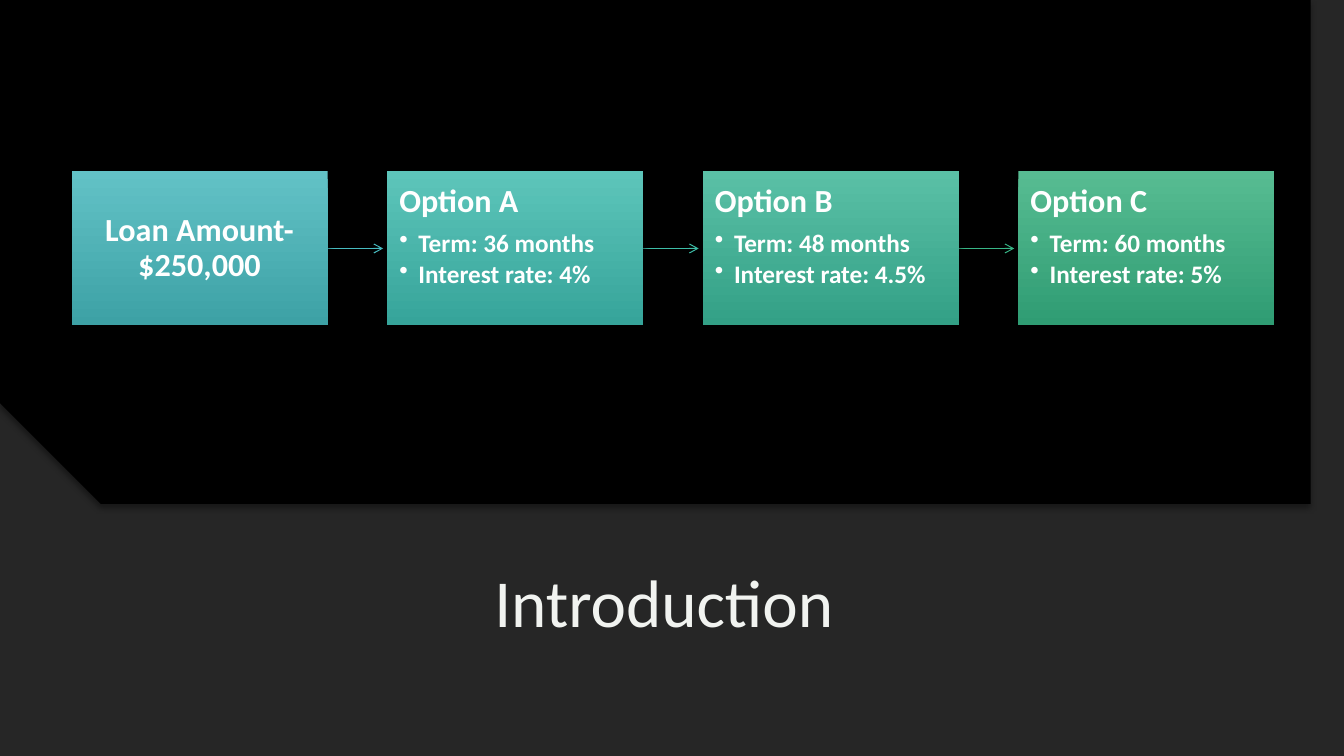
from lxml import etree
from pptx import Presentation
from pptx.dml.color import RGBColor
from pptx.enum.shapes import MSO_CONNECTOR, MSO_SHAPE
from pptx.enum.text import MSO_ANCHOR, PP_ALIGN
from pptx.oxml import parse_xml
from pptx.oxml.ns import nsdecls, qn
from pptx.util import Inches, Pt

COLORS = {
    "black": "000000",
    "panel": "262626",
    "title": "F1F3F0",
    "white": "FFFFFF",
}
FONT = "Calibri"
SLIDE_WIDTH, SLIDE_HEIGHT = 13.33, 7.5
CARD_LEFT, CARD_TOP, CARD_WIDTH, CARD_HEIGHT = 0.71, 1.7, 2.54, 1.53
CARD_PITCH = 3.13
ARROW_LENGTH = 0.55

CARDS = [
    (["Loan Amount- $250,000"], "62C2C6", "3DA1A5", "47BBC0"),
    (["Option A", "Term: 36 months", "Interest rate: 4%"], "5DC5BA", "36A49A", "3DBDA7"),
    (["Option B", "Term: 48 months", "Interest rate: 4.5%"], "5AC0A6", "33A086", "37B586"),
    (["Option C", "Term: 60 months", "Interest rate: 5%"], "57BC92", "2F9C73", None),
]


def shadow_effect(alpha, blur, distance, direction=90):
    return parse_xml(
        f'<a:effectLst {nsdecls("a")}><a:outerShdw blurRad="{Pt(blur)}" dist="{Pt(distance)}" '
        f'dir="{direction * 60000}" algn="ctr" rotWithShape="0"><a:srgbClr val="{COLORS["black"]}">'
        f'<a:alpha val="{alpha * 1000}"/></a:srgbClr></a:outerShdw></a:effectLst>'
    )


def format_run(run, size, color, bold=False):
    run.font.size = Pt(size)
    run.font.bold = bold
    run.font.color.rgb = RGBColor.from_string(color)
    run.font.name = FONT


presentation = Presentation()
presentation.slide_width = Inches(SLIDE_WIDTH)
presentation.slide_height = Inches(SLIDE_HEIGHT)
slide = presentation.slides.add_slide(presentation.slide_layouts[6])
slide.background.fill.solid()
slide.background.fill.fore_color.rgb = RGBColor.from_string(COLORS["black"])

panel = slide.shapes.add_shape(
    MSO_SHAPE.RECTANGLE, 0, 0, Inches(SLIDE_WIDTH), Inches(SLIDE_HEIGHT)
)
panel.shadow.inherit = False
panel.fill.solid()
panel.fill.fore_color.rgb = RGBColor.from_string(COLORS["panel"])
panel.line.fill.background()

title = slide.shapes.add_textbox(Inches(1), Inches(5.23), Inches(11.32), Inches(1.46))
title.text_frame.word_wrap = True
title.text_frame.vertical_anchor = MSO_ANCHOR.MIDDLE
title.text_frame.text = "Introduction "
paragraph = title.text_frame.paragraphs[0]
paragraph.alignment = PP_ALIGN.CENTER
title_run = paragraph.runs[0]
format_run(title_run, 48, COLORS["title"])
title_run.font._element.find(qn("a:latin")).addprevious(shadow_effect(60, 3, 2, 45))

curve_steps = 40
curve_points = [(0, 0), (SLIDE_WIDTH, 0), (SLIDE_WIDTH, 4.42)]
for start, first, second, end in [
    ((12.8, 4.51), (10.89, 4.82), (8.82, 4.99), (6.66, 4.99)),
    ((6.66, 4.99), (4.5, 4.99), (2.43, 4.82), (0.52, 4.51)),
]:
    for step in range(curve_steps + 1):
        t = step / curve_steps
        weights = ((1 - t) ** 3, 3 * t * (1 - t) ** 2, 3 * t**2 * (1 - t), t**3)
        curve_points.append(tuple(
            sum(weight * point[axis] for weight, point in zip(weights, (start, first, second, end)))
            for axis in (0, 1)
        ))
curve_points.append((0, 4.42))
builder = slide.shapes.build_freeform(0, 0, scale=Inches(1))
builder.add_line_segments(curve_points[1:], close=True)
curved_panel = builder.convert_to_shape()
curved_panel.fill.solid()
curved_panel.fill.fore_color.rgb = RGBColor.from_string(COLORS["black"])
curved_panel.line.fill.background()
curved_panel._element.spPr.append(shadow_effect(40, 4, 3))

for index, (lines, top_color, bottom_color, arrow_color) in enumerate(CARDS):
    left = CARD_LEFT + index * CARD_PITCH
    if arrow_color:
        arrow_left = left + CARD_WIDTH
        arrow_top = Inches(CARD_TOP + CARD_HEIGHT / 2)
        arrow = slide.shapes.add_connector(
            MSO_CONNECTOR.STRAIGHT,
            Inches(arrow_left), arrow_top, Inches(arrow_left + ARROW_LENGTH), arrow_top,
        )
        arrow.line.width = Pt(0.75)
        arrow.line.color.rgb = RGBColor.from_string(arrow_color)
        etree.SubElement(arrow.line._get_or_add_ln(), qn("a:tailEnd"), type="arrow")
        etree.SubElement(arrow._element.spPr, qn("a:effectLst"))

    card = slide.shapes.add_shape(
        MSO_SHAPE.RECTANGLE,
        Inches(left), Inches(CARD_TOP), Inches(CARD_WIDTH), Inches(CARD_HEIGHT),
    )
    card.fill.gradient()
    card.fill.gradient_angle = 270
    for stop, position, color in zip(card.fill.gradient_stops, (0, 1), (top_color, bottom_color)):
        stop.position = position
        stop.color.rgb = RGBColor.from_string(color)
    card.line.fill.background()
    card._element.spPr.append(shadow_effect(60, 5, 2))

    text_frame = card.text_frame
    text_frame.word_wrap = True
    text_frame.margin_left = text_frame.margin_right = Inches(0.12)
    text_frame.margin_top = text_frame.margin_bottom = Inches(0.13)
    text_frame.text = "\n".join(lines)
    is_option = len(lines) > 1
    text_frame.vertical_anchor = MSO_ANCHOR.TOP if is_option else MSO_ANCHOR.MIDDLE
    for line_number, paragraph in enumerate(text_frame.paragraphs):
        is_bullet = line_number > 0
        paragraph.alignment = PP_ALIGN.LEFT if is_option else PP_ALIGN.CENTER
        paragraph.line_spacing = 0.9
        paragraph.space_after = Pt(2.7 if is_bullet else 8)
        format_run(paragraph.runs[0], 18 if is_bullet else 23, COLORS["white"], True)
        if is_bullet:
            paragraph.level = 1
            properties = paragraph._p.get_or_add_pPr()
            properties.set("marL", str(Inches(0.19)))
            properties.set("indent", str(Inches(-0.19)))
            etree.SubElement(properties, qn("a:buChar"), char="•")

presentation.save("out.pptx")
